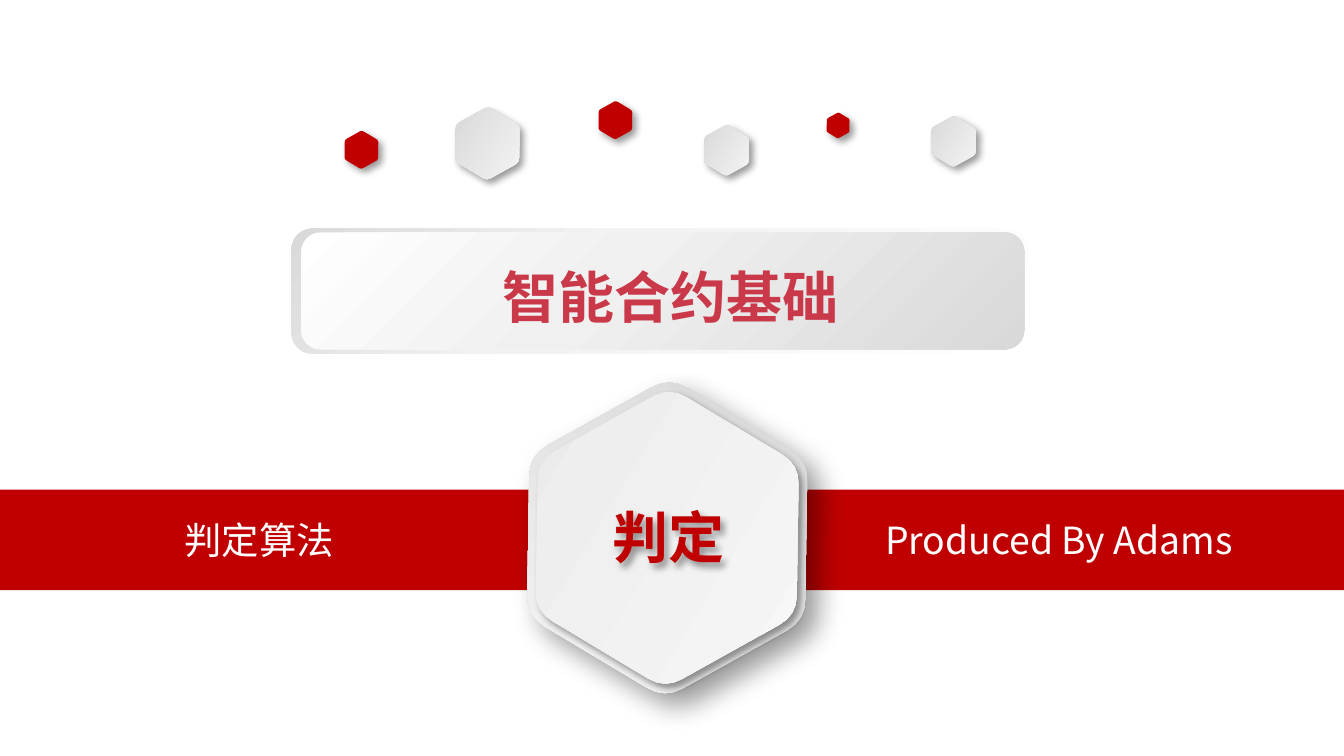
"""Build the smart contract basics section slide with hexagon ornaments."""
from math import cos, pi, sin

from lxml.etree import SubElement
from pptx import Presentation
from pptx.dml.color import RGBColor
from pptx.enum.shapes import MSO_SHAPE
from pptx.enum.text import MSO_ANCHOR, PP_ALIGN
from pptx.oxml.ns import qn
from pptx.util import Cm, Pt

FONT = "Noto Sans CJK SC"
RED = RGBColor(0xC0, 0x00, 0x00)
ROSE = RGBColor(0xC9, 0x39, 0x4A)
WHITE = RGBColor(0xFF, 0xFF, 0xFF)
BLACK = RGBColor(0x00, 0x00, 0x00)
SILVER = RGBColor(0xD3, 0xD3, 0xD3)
PALE = RGBColor(0xE9, 0xE9, 0xE9)
SNOW = RGBColor(0xF9, 0xF9, 0xF9)
MIST = RGBColor(0xF2, 0xF2, 0xF2)
FOG = RGBColor(0xF0, 0xF0, 0xF0)
ASH = RGBColor(0xD9, 0xD9, 0xD9)


def write_label(shape, text, size, color, align, bold=False):
    frame = shape.text_frame
    frame.word_wrap = True
    frame.vertical_anchor = MSO_ANCHOR.MIDDLE
    frame.margin_top = frame.margin_bottom = 0
    paragraph = frame.paragraphs[0]
    paragraph.text = text
    paragraph.alignment = align
    font = paragraph.font
    font.name, font.size, font.bold = FONT, Pt(size), bold
    font.color.rgb = color
    defaults = paragraph._p.pPr.find(qn("a:defRPr"))
    SubElement(defaults, qn("a:ea"), typeface=FONT)


def fill_gradient(shape, stops, angle):
    shape.fill.gradient()
    shape.fill.gradient_angle = angle
    stop_list = shape._element.spPr.find(".//" + qn("a:gsLst"))
    for stop in list(stop_list):
        stop_list.remove(stop)
    for percent, color in stops:
        stop = SubElement(stop_list, qn("a:gs"), pos=str(percent * 1000))
        SubElement(stop, qn("a:srgbClr"), val=str(color))


presentation = Presentation()
presentation.slide_width, presentation.slide_height = Cm(25.4), Cm(14.28)
slide = presentation.slides.add_slide(presentation.slide_layouts[5])
shapes = slide.shapes

band = shapes.add_shape(MSO_SHAPE.RECTANGLE, 0, Cm(9.25), Cm(25.4), Cm(1.9))
band.shadow.inherit = False
band.fill.solid()
band.fill.fore_color.rgb = RED
band.line.fill.background()

for left, width, text, align in (
    (0.43, 8.94, "判定算法", PP_ALIGN.CENTER),
    (16.48, 8.89, "Produced By Adams", PP_ALIGN.LEFT),
):
    caption = shapes.add_textbox(Cm(left), Cm(9.63), Cm(width), Cm(1.12))
    write_label(caption, text, 20, WHITE, align)

corners = [(cos(k * pi / 3), sin(k * pi / 3)) for k in range(6)]
outline = []
for k, corner in enumerate(corners):
    before, after = corners[k - 1], corners[(k + 1) % 6]
    for t in (0, 0.25, 0.5, 0.75, 1):
        outline.append([
            c + 0.13 * ((1 - t) ** 2 * (b - c) + t ** 2 * (a - c))
            for b, c, a in zip(before, corner, after)
        ])

shadowed = []
for x, y, width, start, angle, blur, distance in (
    (9.21, 2.71, 1.35, SILVER, 0, 4, 3),
    (11.63, 2.27, 0.71, RED, 0, 4, 3),
    (6.83, 2.83, 0.71, RED, 0, 4, 3),
    (13.73, 2.84, 0.94, SILVER, 0, 4, 3),
    (15.84, 2.37, 0.48, RED, 0, 4, 3),
    (18.02, 2.67, 0.94, SILVER, 0, 4, 3),
    (12.61, 10.16, 5.87, SILVER, 270, 15, 9),
    (12.61, 10.16, 5.51, PALE, 0, 4, 3),
):
    radius = width / 1.935
    points = [(1000 * (x + radius * u), 1000 * (y + radius * v)) for u, v in outline]
    builder = shapes.build_freeform(*points[0], scale=Cm(1) / 1000)
    builder.add_line_segments(points[1:], close=True)
    hexagon = builder.convert_to_shape()
    hexagon.rotation = 30.9
    hexagon.line.fill.background()
    if start == RED:
        hexagon.fill.solid()
        hexagon.fill.fore_color.rgb = RED
    else:
        fill_gradient(hexagon, ((0, start), (100, SNOW)), angle)
    shadowed.append((hexagon, blur, distance))

for left, top, width, height, middle, angle in (
    (5.51, 4.32, 13.92, 2.36, (62, MIST), 135),
    (5.69, 4.39, 13.67, 2.21, (42, FOG), 315),
):
    plate = shapes.add_shape(
        MSO_SHAPE.ROUNDED_RECTANGLE, Cm(left), Cm(top), Cm(width), Cm(height))
    plate.shadow.inherit = False
    plate.line.fill.background()
    fill_gradient(plate, ((0, WHITE), middle, (100, ASH)), angle)

title = shapes.title
title.left, title.top, title.width, title.height = Cm(5.72), Cm(4.83), Cm(13.92), Cm(1.52)
write_label(title, "智能合约基础", 30, ROSE, PP_ALIGN.CENTER, bold=True)
shapes._spTree.append(title._element)

verdict = shapes.add_shape(
    MSO_SHAPE.ROUNDED_RECTANGLE, Cm(10.13), Cm(9.5), Cm(5), Cm(1.27))
verdict.fill.background()
verdict.line.fill.background()
write_label(verdict, "判定", 30, RED, PP_ALIGN.CENTER, bold=True)
shadowed.append((verdict, 4, 3))

for shape, blur, distance in shadowed:
    shape.shadow.inherit = False
    effects = shape._element.spPr.find(qn("a:effectLst"))
    shadow = SubElement(
        effects, qn("a:outerShdw"), blurRad=str(Pt(blur)), dist=str(Pt(distance)),
        dir="2700000", algn="tl", rotWithShape="0")
    shade = SubElement(shadow, qn("a:srgbClr"), val=str(BLACK))
    SubElement(shade, qn("a:alpha"), val="40000")

presentation.save("out.pptx")
